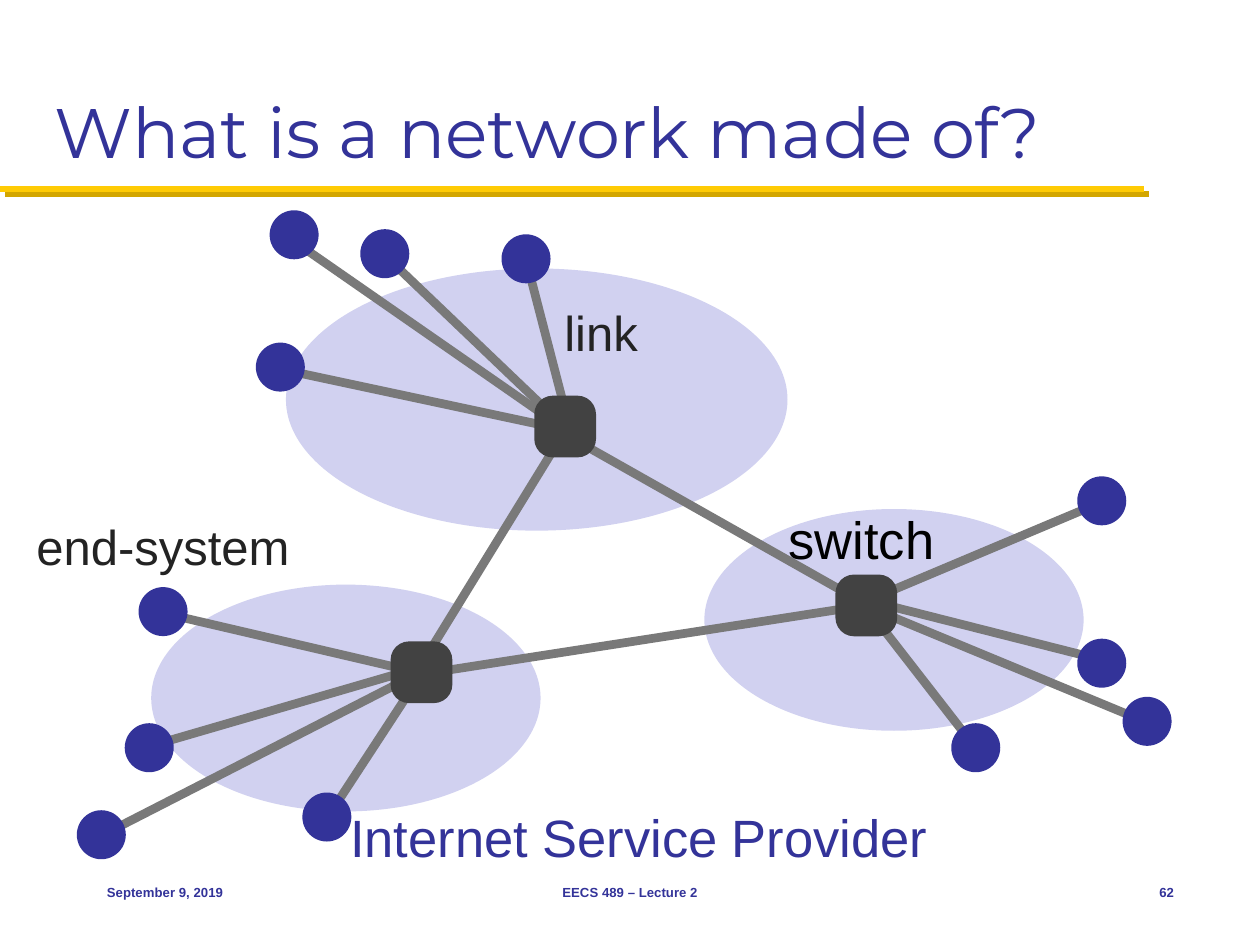
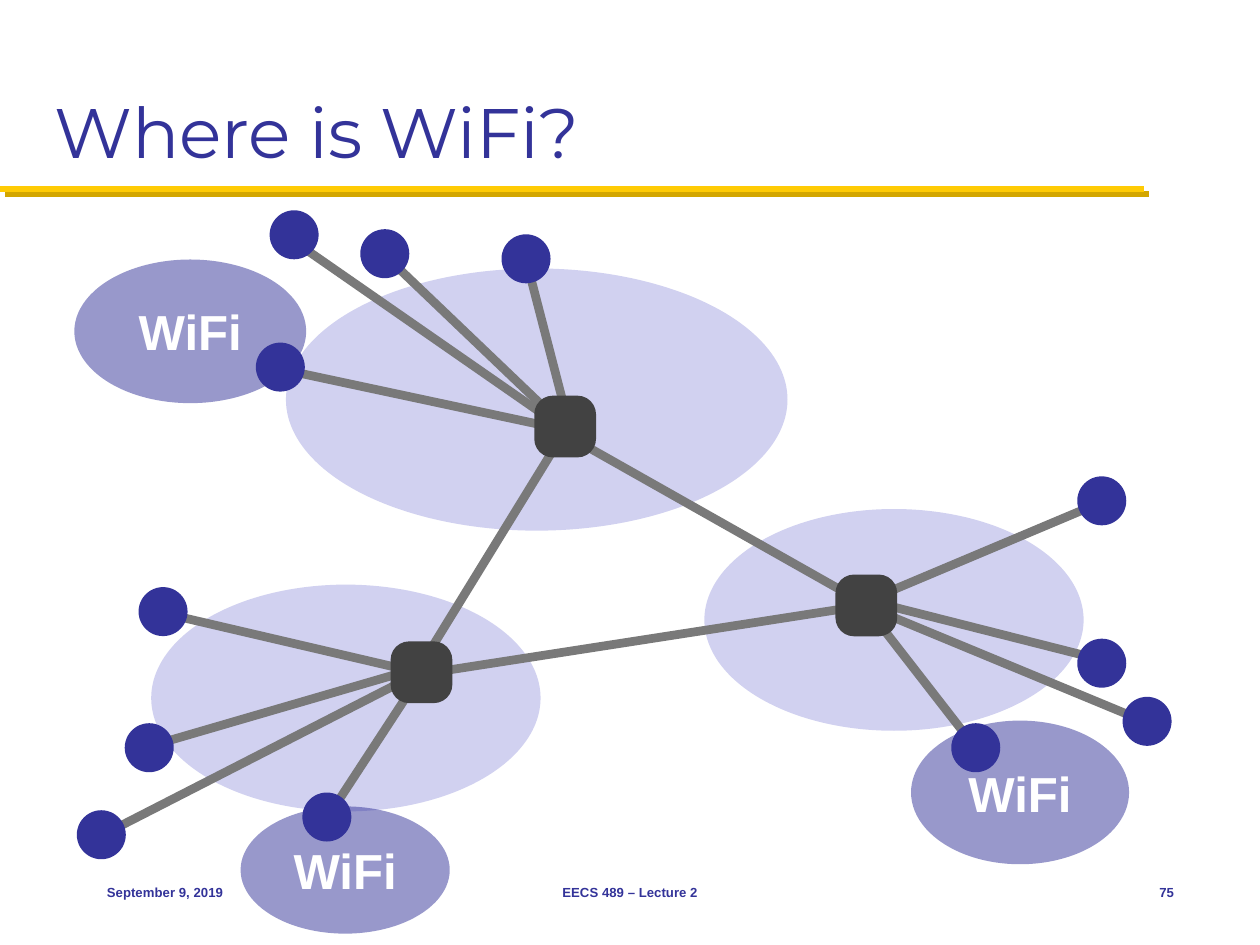
from pptx import Presentation
from pptx.dml.color import RGBColor
from pptx.enum.shapes import MSO_CONNECTOR, MSO_SHAPE
from pptx.enum.text import MSO_ANCHOR as ANCHOR, MSO_AUTO_SIZE as AUTO, PP_ALIGN as ALIGN
from pptx.oxml.ns import qn
from pptx.util import Pt
from lxml.etree import SubElement

NAVY = RGBColor(0x33, 0x33, 0x99)
LAVENDER = RGBColor(0xD1, 0xD1, 0xF0)
MAIZE = RGBColor(0xFF, 0xCB, 0x05)
GREY = RGBColor(0x79, 0x79, 0x79)
CHARCOAL = RGBColor(0x42, 0x42, 0x42)
INK = RGBColor(0x23, 0x23, 0x23)
BLACK = RGBColor(0, 0, 0)
WHITE = RGBColor(0xFF, 0xFF, 0xFF)
BAND_SHADOW = "D3A600"

TITLE_FONT = {"name": "Montserrat", "size": Pt(40), "bold": False}
FOOTER_FONT = {"name": "Arial", "size": Pt(7.5), "bold": True}
LABEL_FONT = {"name": "Arial", "bold": False}
WIFI_FONT = {"name": "Arial", "size": Pt(28.1), "bold": True}

TITLE_BOX = (24, 12, 672, 90)
FOOTER_BOX = (54, 492, 624, 36)
DIAGRAM_BOX = (0, 108, 720, 432)
NODE_SIZE = 28
SWITCH_SIZE = 35.3

# Each network: cloud box, switch corner, then (node corner, link start, link end).
NETWORKS = [
    ((402.5, 182.9, 216.7, 126.7), (477.4, 220.3), [
        ((615.6, 164.2), (628.6, 179.3), (491.8, 236.9)),
        ((615.6, 257), (627.8, 268.6), (496.8, 235.4)),
        ((641.5, 290.2), (656.6, 305.3), (493.2, 237.6)),
        ((543.6, 305.3), (556.6, 318.2), (496.8, 241.2)),
    ]),
    ((163.4, 45.4, 286.6, 149.8), (305.3, 118.1), [
        ((146.2, 87.8), (160.6, 103), (319, 136.8)),
        ((154.1, 12.2), (168.5, 30.2), (316.8, 133.2)),
        ((205.9, 23), (220.3, 38.2), (319, 132.5)),
        ((286.6, 25.9), (301.7, 44.6), (326.2, 139)),
    ]),
    ((86.4, 226.1, 222.5, 129.6), (223.2, 258.5), [
        ((79.2, 227.5), (91.4, 241.9), (236.9, 275.8)),
        ((71.3, 305.3), (83.5, 319), (236.9, 274.3)),
        ((43.9, 355), (55.4, 370.8), (235.4, 278.6)),
        ((172.8, 344.9), (189.4, 355.7), (239.8, 278.6)),
    ]),
]
TRUNKS = [
    ((318.2, 137.5), (495.4, 237.6)),
    ((323.3, 137.5), (240.5, 272.2)),
    ((496.8, 237.6), (241.2, 277.2)),
]
LABELS = [
    ("link", (319.7, 61.9, 48.2, 39.6), 28, INK),
    ("switch", (447.8, 178.6, 90, 41.8), 30, BLACK),
    ("end-system", (18, 184.3, 164.2, 39.6), 28, INK),
    ("Internet Service Provider", (197.3, 349.2, 346.3, 41.8), 30, NAVY),
]
WIFI_ZONES = [
    (137.5, 352.8, 119.5, 72.7),
    (520.6, 303.8, 124.6, 82.1),
    (42.5, 40.3, 132.5, 82.1),
]


def set_text(sp, text, font, color, align=ALIGN.LEFT, anchor=ANCHOR.MIDDLE, insets=(7.2, 3.6)):
    """Write one formatted paragraph into a shape."""
    tf = sp.text_frame
    x, y = map(Pt, insets)
    frame = {"word_wrap": True, "auto_size": AUTO.NONE, "vertical_anchor": anchor,
             "margin_left": x, "margin_right": x, "margin_top": y, "margin_bottom": y}
    for key, value in frame.items():
        setattr(tf, key, value)
    p = tf.paragraphs[0]
    p.alignment = align
    r = p.add_run()
    r.text = text
    for key, value in font.items():
        setattr(r.font, key, value)
    r.font.color.rgb = color


def add_text(s, box, text, font, color, **layout):
    """Add a text box holding one paragraph."""
    sp = s.shapes.add_textbox(*map(Pt, box))
    set_text(sp, text, font, color, **layout)


def add_solid(s, kind, box, color):
    """Add a filled shape without outline or shadow."""
    sp = s.shapes.add_shape(kind, *map(Pt, box))
    sp.shadow.inherit = False
    sp.fill.solid()
    sp.fill.fore_color.rgb = color
    sp.line.fill.background()
    return sp


def add_line(s, start, end, color, width):
    """Add a straight line and return its empty effect list."""
    cx = s.shapes.add_connector(MSO_CONNECTOR.STRAIGHT, *map(Pt, (*start, *end)))
    cx.line.color.rgb = color
    cx.line.width = Pt(width)
    return SubElement(cx._element.spPr, qn("a:effectLst"))


def add_header(s, box, title):
    """Place the title and the shadowed band below it."""
    left, top, width, height = box
    effects = add_line(s, (0, top + height + 6), (653.8, top + height + 6), MAIZE, 3.5)
    shadow = SubElement(effects, qn("a:outerShdw"), dist=str(Pt(4.2)), dir="2700000",
                        algn="ctr", rotWithShape="0")
    SubElement(shadow, qn("a:srgbClr"), val=BAND_SHADOW)
    sp = s.shapes.title
    sp.left, sp.top, sp.width, sp.height = map(Pt, box)
    set_text(sp, title, TITLE_FONT, NAVY, anchor=ANCHOR.BOTTOM)


def add_footer(s, box, number):
    """Place date, course and slide number along the footer."""
    left, top, width, height = box
    parts = [("September 9, 2019", 0, 150, ALIGN.LEFT),
             ("EECS 489 – Lecture 2", 192, 228, ALIGN.CENTER),
             (str(number), width - 48, 48, ALIGN.RIGHT)]
    for text, x, w, align in parts:
        add_text(s, (left + x, top, w, height), text, FOOTER_FONT, NAVY, align=align)


def add_diagram(s, box):
    """Draw clouds, links, end systems and switches."""
    left, top = box[:2]

    def at(x, y, *size):
        return (left + x, top + y, *size)

    for cloud, _, _ in NETWORKS:
        add_solid(s, MSO_SHAPE.OVAL, at(*cloud), LAVENDER)
    links = [ends for _, _, nodes in NETWORKS for _, *ends in nodes]
    for start, end in links + TRUNKS:
        add_line(s, at(*start), at(*end), GREY, 5)
    for _, switch, nodes in NETWORKS:
        for node, _, _ in nodes:
            add_solid(s, MSO_SHAPE.OVAL, at(*node, NODE_SIZE, NODE_SIZE), NAVY)
        sp = add_solid(s, MSO_SHAPE.ROUNDED_RECTANGLE,
                       at(*switch, SWITCH_SIZE, SWITCH_SIZE), CHARCOAL)
        sp.adjustments[0] = 0.3


def add_labels(s, box):
    """Name the parts of the diagram."""
    for text, (x, y, w, h), size, color in LABELS:
        add_text(s, (box[0] + x, box[1] + y, w, h), text,
                 {**LABEL_FONT, "size": Pt(size)}, color, insets=(2.8, 2.8))


def add_wifi_zones(s, box):
    """Overlay the half-transparent wireless zones."""
    for x, y, w, h in WIFI_ZONES:
        sp = add_solid(s, MSO_SHAPE.OVAL, (box[0] + x, box[1] + y, w, h), NAVY)
        rgb = sp._element.spPr.find(qn("a:solidFill")).find(qn("a:srgbClr"))
        SubElement(rgb, qn("a:alpha"), val="50000")
        set_text(sp, "WiFi", WIFI_FONT, WHITE, align=ALIGN.CENTER, insets=(0, 0))


def add_network_slide(prs, title, number, add_overlay):
    """Build a network slide with its own overlay."""
    s = prs.slides.add_slide(prs.slide_layouts[5])
    add_header(s, TITLE_BOX, title)
    add_footer(s, FOOTER_BOX, number)
    add_diagram(s, DIAGRAM_BOX)
    add_overlay(s, DIAGRAM_BOX)


def main():
    """Build and save the presentation."""
    prs = Presentation()
    prs.slide_width, prs.slide_height = Pt(720), Pt(540)
    add_network_slide(prs, "What is a network made of?", 62, add_labels)
    add_network_slide(prs, "Where is WiFi?", 75, add_wifi_zones)
    prs.save("out.pptx")


if __name__ == "__main__":
    main()
